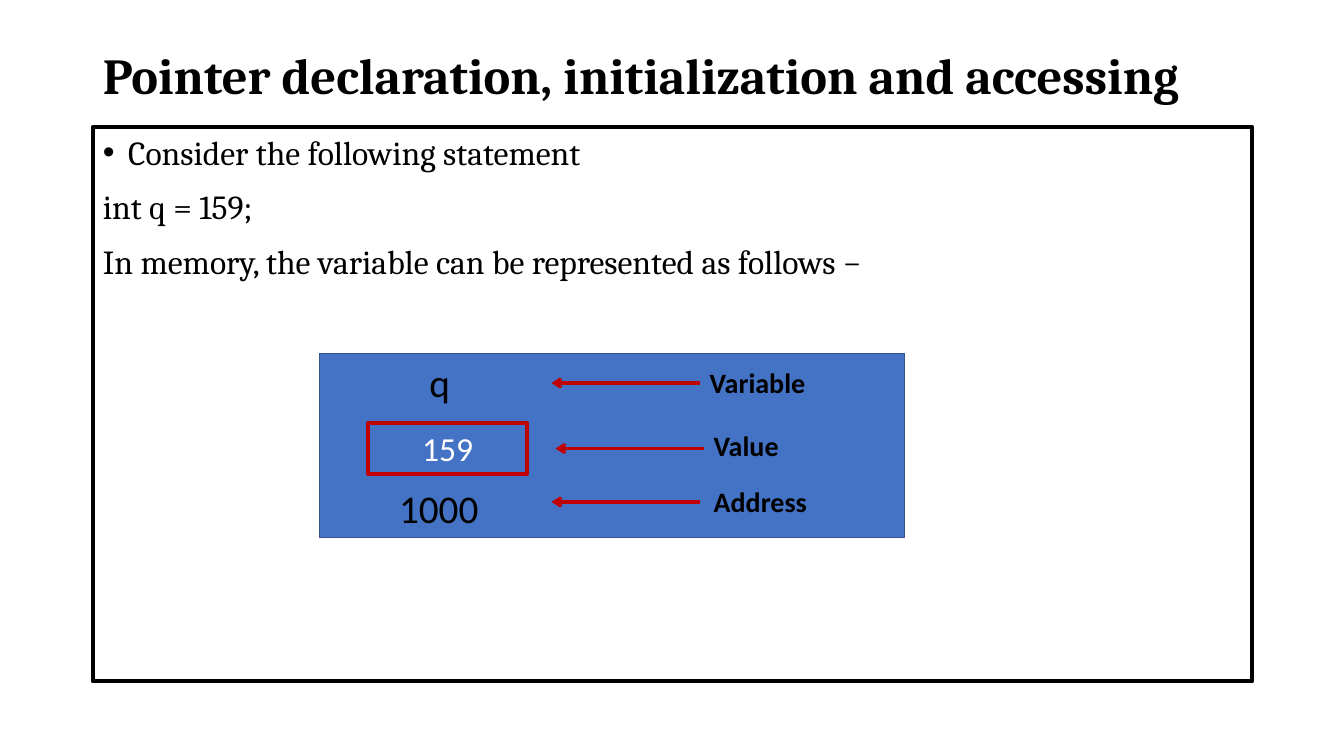
import pptx
import pptx.dml.color
import pptx.enum.shapes
import pptx.enum.text
import pptx.oxml.ns
import pptx.util
from lxml import etree
from pptx.util import Inches

ALIGN = pptx.enum.text.PP_ALIGN
ANCHOR = pptx.enum.text.MSO_ANCHOR
RED, BLUE, BLACK = "C00000", "4472C4", "000000"


def paint(color_format, color):
    color_format.rgb = pptx.dml.color.RGBColor.from_string(color)


def style(paragraph, name, size, color=BLACK, bold=False):
    paragraph.font.name = name
    paragraph.font.size = pptx.util.Pt(size)
    paragraph.font.bold = bold
    paint(paragraph.font.color, color)


deck = pptx.Presentation()
deck.slide_width, deck.slide_height = Inches(13.33), Inches(7.5)
slide = deck.slides.add_slide(deck.slide_layouts[1])

# Title
title = slide.shapes.title
title.left, title.top = Inches(0.92), Inches(0.4)
title.width, title.height = Inches(11.5), Inches(0.76)
title.text_frame.text = "Pointer declaration, initialization and accessing"
title.text_frame.auto_size = pptx.enum.text.MSO_AUTO_SIZE.NONE
title.text_frame.vertical_anchor = ANCHOR.MIDDLE
heading = title.text_frame.paragraphs[0]
heading.alignment = ALIGN.LEFT
heading.line_spacing = 0.9
style(heading, "Cambria", 36, bold=True)

# Framed explanation
explanation = slide.placeholders[1]
explanation.left, explanation.top = Inches(0.92), Inches(1.26)
explanation.width, explanation.height = Inches(11.5), Inches(5.5)
paint(explanation.line.fill.fore_color if explanation.line.fill.solid() else explanation.line.color, BLACK)
explanation.line.width = pptx.util.Pt(3)
explanation.text_frame.auto_size = pptx.enum.text.MSO_AUTO_SIZE.NONE
explanation.text_frame.text = "\n".join([
    "Consider the following statement",
    "int q = 159;",
    "In memory, the variable can be represented as follows −",
])
for index, statement in enumerate(explanation.text_frame.paragraphs):
    first = index == 0
    properties = statement._p.get_or_add_pPr()
    properties.set("marL", str(Inches(0.25 if first else 0)))
    properties.set("indent", str(Inches(-0.25 if first else 0)))
    bullet = etree.SubElement(properties, pptx.oxml.ns.qn("a:buChar" if first else "a:buNone"))
    if first:
        bullet.set("char", "•")
    statement.alignment = ALIGN.JUSTIFY
    statement.space_before = pptx.util.Pt(0 if first else 10)
    style(statement, "Cambria", 24)

# Memory block and the cell that holds the value
for left, top, width, height, outline, weight, content in [
    (3.17, 3.51, 5.8, 1.82, "325491", 1, ""),
    (3.65, 4.2, 1.58, 0.5, RED, 3, "159"),
]:
    cell = slide.shapes.add_shape(
        pptx.enum.shapes.MSO_SHAPE.RECTANGLE, Inches(left), Inches(top), Inches(width), Inches(height))
    cell.shadow.inherit = False
    cell.fill.solid()
    paint(cell.fill.fore_color, BLUE)
    paint(cell.line.color, outline)
    cell.line.width = pptx.util.Pt(weight)
    if content:
        cell.text_frame.text = content
        cell.text_frame.vertical_anchor = ANCHOR.MIDDLE
        cell.text_frame.paragraphs[0].alignment = ALIGN.CENTER
        style(cell.text_frame.paragraphs[0], "Calibri", 24, "FFFFFF")

# Memory contents and their labels
for text, left, top, width, height, size, bold in [
    ("q", 4.16, 3.51, 0.76, 0.57, 28, False),
    ("1000", 3.86, 4.76, 1.16, 0.57, 28, False),
    ("Variable", 6.94, 3.58, 1.48, 0.44, 20, True),
    ("Value", 6.98, 4.2, 1.48, 0.44, 20, True),
    ("Address", 6.98, 4.76, 1.48, 0.44, 20, True),
]:
    label = slide.shapes.add_textbox(Inches(left), Inches(top), Inches(width), Inches(height))
    label.text_frame.word_wrap = True
    label.text_frame.text = text
    style(label.text_frame.paragraphs[0], "Calibri", size, bold=bold)

# Arrows from the labels to the contents
for start, level in [(6.94, 3.8), (6.98, 4.45), (6.94, 4.98)]:
    arrow = slide.shapes.add_connector(
        pptx.enum.shapes.MSO_CONNECTOR.STRAIGHT,
        Inches(start), Inches(level), Inches(start - 1.47), Inches(level))
    paint(arrow.line.color, RED)
    arrow.line.width = pptx.util.Pt(2.25)
    head = etree.SubElement(arrow.line._get_or_add_ln(), pptx.oxml.ns.qn("a:tailEnd"))
    head.set("type", "arrow")
    etree.SubElement(arrow._element.spPr, pptx.oxml.ns.qn("a:effectLst"))

deck.save("out.pptx")
